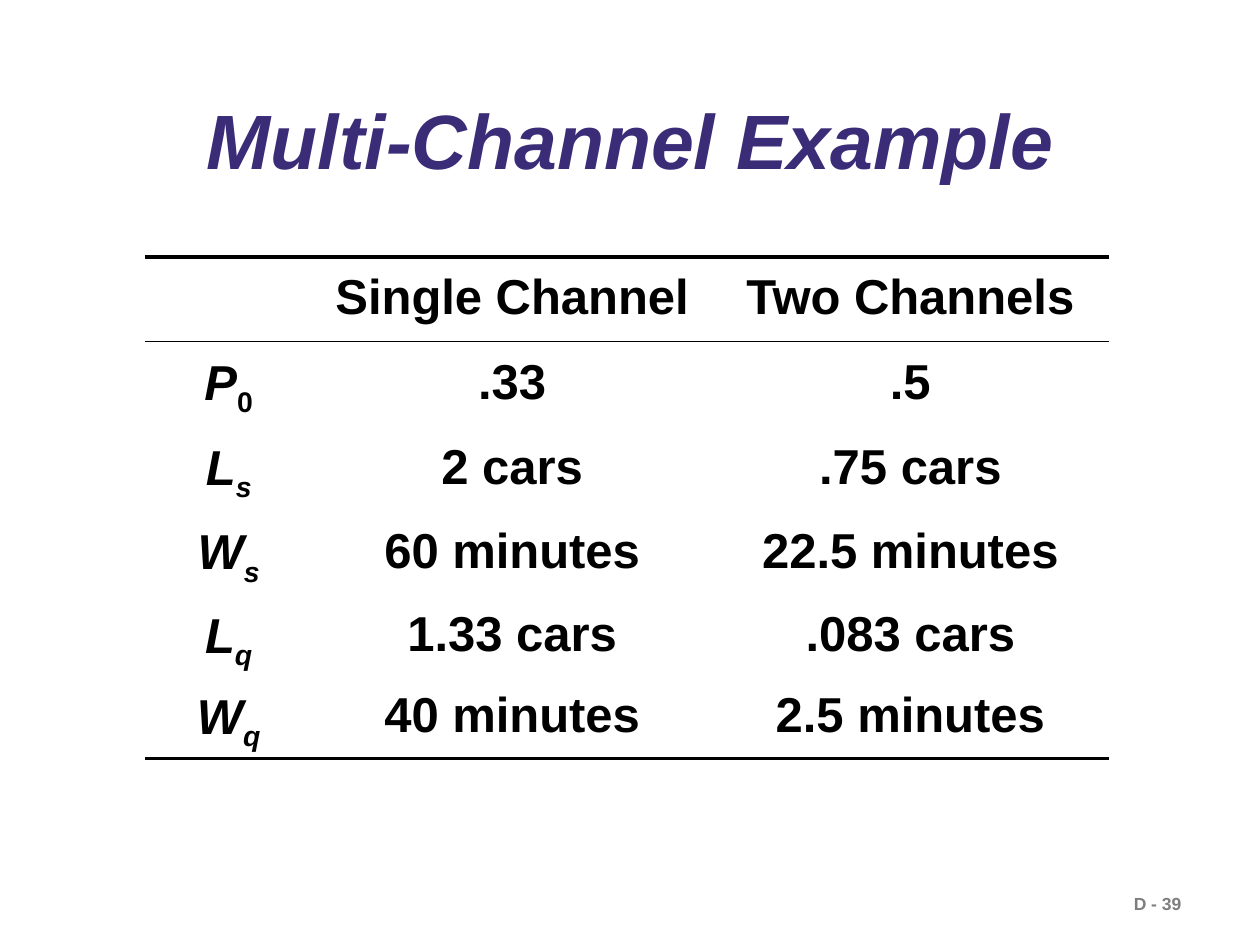
from lxml import etree
from pptx import Presentation
from pptx.dml.color import RGBColor
from pptx.enum.text import MSO_ANCHOR, PP_ALIGN
from pptx.oxml.ns import qn
from pptx.util import Inches, Pt

CENTER, LEFT = PP_ALIGN.CENTER, PP_ALIGN.LEFT
MIDDLE, TOP = MSO_ANCHOR.MIDDLE, MSO_ANCHOR.TOP
FONT = "Arial"
COLORS = {"title": "3A2C76", "ink": "000000", "footer": "7F7F7F"}

HEADINGS = ["Single Channel", "Two Channels"]
# Symbol, subscript, subscript is italic, single channel, two channels
MEASURES = [
    ("P", "0", False, ".33", ".5"),
    ("L", "s", True, "2 cars", ".75 cars"),
    ("W", "s", True, "60 minutes", "22.5 minutes"),
    ("L", "q", True, "1.33 cars", ".083 cars"),
    ("W", "q", True, "40 minutes", "2.5 minutes"),
]
COLUMN_WIDTHS = [1.33, 3.17, 3.15]
ROW_HEIGHTS = [0.67, 0.68, 0.67, 0.67, 0.65, 0.64]
THICK, THIN = 2.21, 1.08


def add_run(paragraph, text, size, color, italic=False, subscript=False):
    run = paragraph.add_run()
    run.text = text
    font = run.font
    font.name, font.size, font.bold, font.italic = FONT, Pt(size), True, italic
    font.color.rgb = RGBColor.from_string(COLORS[color])
    if subscript:
        font._element.set("baseline", "-25000")


def add_label(slide, box, text, size, color, align=LEFT, anchor=TOP,
              italic=False, wrap=True, spacing=1.0):
    frame = slide.shapes.add_textbox(*map(Inches, box)).text_frame
    frame.word_wrap = wrap
    frame.vertical_anchor = anchor
    paragraph = frame.paragraphs[0]
    paragraph.alignment = align
    paragraph.line_spacing = spacing
    add_run(paragraph, text, size, color, italic)


def set_borders(cell, top, bottom):
    """Rule the top and bottom of a cell; a width of 0 means no line."""
    properties = cell._tc.get_or_add_tcPr()
    sides = [("a:lnL", 0), ("a:lnR", 0), ("a:lnT", top), ("a:lnB", bottom)]
    for position, (tag, width) in enumerate(sides):
        line = etree.Element(qn(tag), w=str(int(Pt(width))))
        if width:
            fill = etree.SubElement(line, qn("a:solidFill"))
            etree.SubElement(fill, qn("a:srgbClr"), val=COLORS["ink"])
        else:
            etree.SubElement(line, qn("a:noFill"))
        properties.insert(position, line)


def fill_cell(cell, runs):
    cell.vertical_anchor = MIDDLE
    paragraph = cell.text_frame.paragraphs[0]
    paragraph.alignment = CENTER
    paragraph.line_spacing = 0.9
    paragraph.space_after = Pt(14)
    for text, italic, subscript in runs:
        add_run(paragraph, text, 28, "ink", italic, subscript)


def add_comparison(slide):
    rows = [[[]] + [[(heading, False, False)] for heading in HEADINGS]]
    for symbol, index, index_italic, *values in MEASURES:
        measure = [(symbol, True, False), (index, index_italic, True)]
        rows.append([measure] + [[(value, False, False)] for value in values])

    table = slide.shapes.add_table(
        len(rows), len(COLUMN_WIDTHS), Inches(1.15), Inches(2.04),
        Inches(sum(COLUMN_WIDTHS)), Inches(sum(ROW_HEIGHTS))).table
    table.first_row = table.horz_banding = False
    for column, width in zip(table.columns, COLUMN_WIDTHS):
        column.width = Inches(width)

    # Rules above and below the header, and below the last row
    rules = [THICK, THIN] + [0] * (len(rows) - 2) + [THICK]
    for r, (row, height) in enumerate(zip(rows, ROW_HEIGHTS)):
        table.rows[r].height = Inches(height)
        for c, runs in enumerate(row):
            cell = table.cell(r, c)
            cell.fill.background()
            set_borders(cell, rules[r], rules[r + 1])
            fill_cell(cell, runs)


def main():
    presentation = Presentation()
    presentation.slide_width, presentation.slide_height = Inches(10), Inches(7.5)
    slide = presentation.slides.add_slide(presentation.slide_layouts[6])

    # Page number
    add_label(slide, (8.9, 7.04, 1.09, 0.27), "D - 39", 10, "footer", wrap=False)
    # Title
    add_label(slide, (0.58, 0.63, 8.85, 1.04), "Multi-Channel Example", 44, "title",
              CENTER, MIDDLE, italic=True, spacing=0.9)
    # Comparison of the two systems
    add_comparison(slide)

    presentation.save("out.pptx")


if __name__ == "__main__":
    main()
